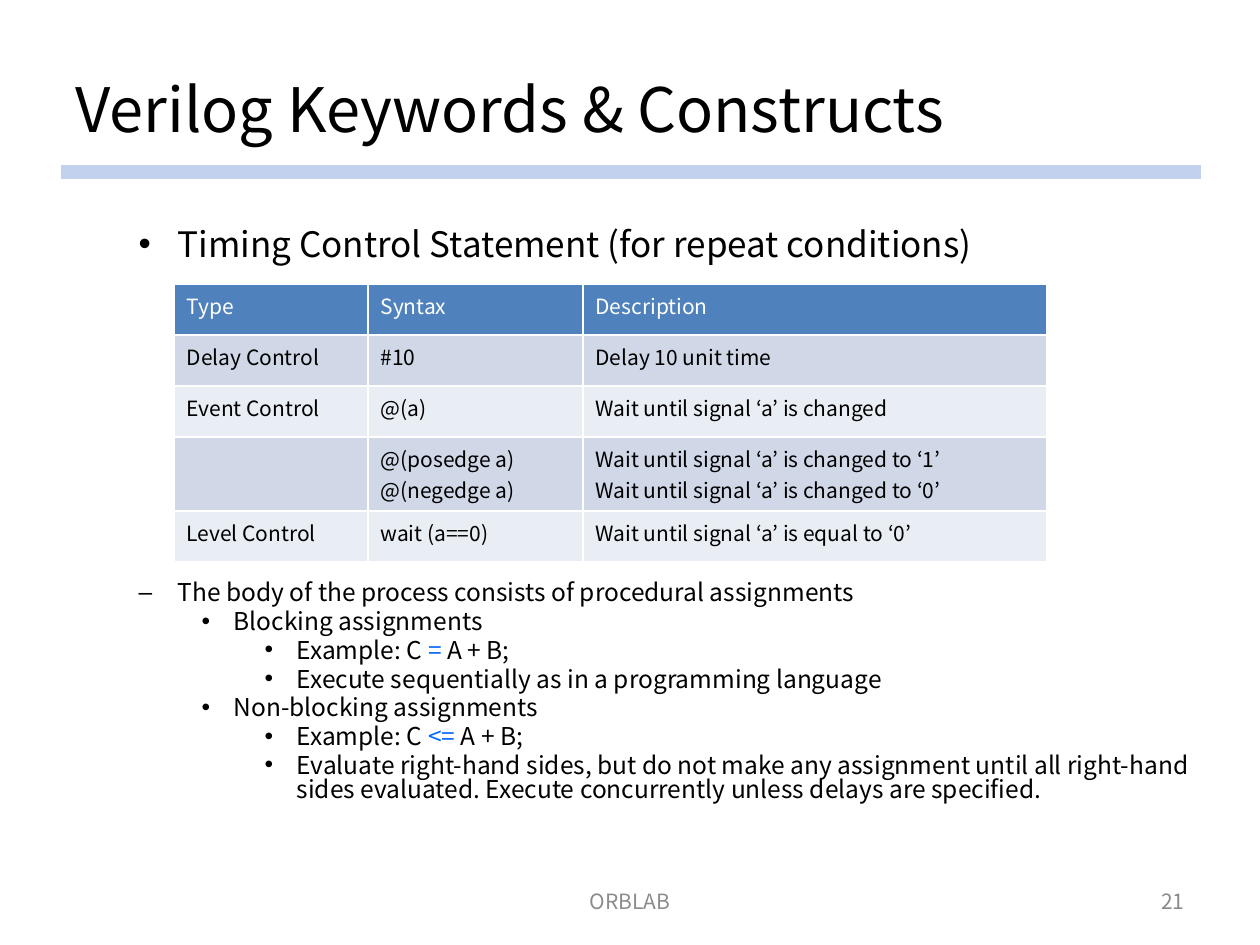
import lxml.etree
import pptx
import pptx.dml.color
import pptx.enum.shapes
import pptx.enum.text
import pptx.oxml.ns
import pptx.util

ALIGN = pptx.enum.text.PP_ALIGN
ANCHOR = pptx.enum.text.MSO_ANCHOR
BLACK, WHITE, ACCENT = "000000", "FFFFFF", "0066FF"

HEADING = [(0, "•", 20, 0, [("Timing Control Statement (for repeat conditions)", BLACK)])]
DETAILS = [
    (0, "–", 14, 182, [("The body of the process consists of procedural assignments", BLACK)]),
    (1, "•", 14, 2.8, [("Blocking assignments", BLACK)]),
    (2, "•", 14, 2.8, [("Example: C", BLACK), (" = ", ACCENT), ("A + B;", BLACK)]),
    (2, "•", 14, 2.8, [("Execute sequentially as in a programming language", BLACK)]),
    (1, "•", 14, 2.8, [("Non-blocking assignments", BLACK)]),
    (2, "•", 14, 2.8, [("Example: C ", BLACK), ("<=", ACCENT), (" A + B;", BLACK)]),
    (2, "•", 14, 2.8, [("Evaluate right-hand sides, but do not make any assignment until all "
                        "right-hand sides evaluated. Execute concurrently unless delays are "
                        "specified.", BLACK)]),
]
TIMING_ROWS = [
    ("Type", "Syntax", "Description"),
    ("Delay Control", "#10", "Delay 10 unit time"),
    ("Event Control", "@(a)", "Wait until signal ‘a’ is changed"),
    ("", "@(posedge a)\n@(negedge a)",
     "Wait until signal ‘a’ is changed to ‘1’\nWait until signal ‘a’ is changed to ‘0’"),
    ("Level Control", "wait (a==0)", "Wait until signal ‘a’ is equal to ‘0’"),
]


def px(length):
    """Turn pixels into EMU."""
    return pptx.util.Emu(round(length * 914400 / 126))


def color(value):
    """Turn a hex string into a colour."""
    return pptx.dml.color.RGBColor.from_string(value)


def add_element(parent, tag, **attributes):
    """Append an XML element with the given attributes."""
    return lxml.etree.SubElement(parent, pptx.oxml.ns.qn(tag), attributes)


class Painter:
    """Hold the style and the current slide."""

    font = "Noto Sans CJK KR"
    indents = [(102, -39), (158, -32), (221, -32)]
    bands = ["D0D8E8", "E9EDF4"]
    header = "4F81BD"

    def __init__(self, page):
        """Keep the slide to draw on."""
        self.page = page

    def place(self, shape, left, top, width, height):
        """Move and size a shape."""
        shape.left, shape.top, shape.width, shape.height = map(px, (left, top, width, height))

    def style(self, span, size, ink):
        """Format one run."""
        span.font.name = self.font
        span.font.size = pptx.util.Pt(size)
        span.font.color.rgb = color(ink)

    def style_frame(self, frame, size, ink, align=ALIGN.LEFT):
        """Format all the text in a frame."""
        for para in frame.paragraphs:
            para.alignment = align
            for span in para.runs:
                self.style(span, size, ink)

    def rule(self, left, right, y, ink, weight):
        """Draw a horizontal line."""
        line = self.page.shapes.add_connector(
            pptx.enum.shapes.MSO_CONNECTOR.STRAIGHT, px(left), px(y), px(right), px(y))
        line.line.color.rgb = color(ink)
        line.line.width = pptx.util.Pt(weight)
        add_element(line._element.spPr, "a:effectLst")

    def title(self, text, *bounds):
        """Fill the title placeholder."""
        box = self.page.shapes.title
        self.place(box, *bounds)
        frame = box.text_frame
        frame.text = text
        frame.auto_size = pptx.enum.text.MSO_AUTO_SIZE.NONE
        frame.vertical_anchor = ANCHOR.MIDDLE
        self.style_frame(frame, 35, BLACK)

    def body(self, items, *bounds):
        """Fill the body placeholder with a bulleted list."""
        box = self.page.placeholders[1]
        self.place(box, *bounds)
        frame = box.text_frame
        frame.auto_size = pptx.enum.text.MSO_AUTO_SIZE.NONE
        for index, (level, bullet, size, gap, spans) in enumerate(items):
            para = frame.add_paragraph() if index else frame.paragraphs[0]
            para.level = level
            para.line_spacing = 0.81
            para.space_before = pptx.util.Pt(gap)
            margin, indent = self.indents[level]
            properties = para._p.get_or_add_pPr()
            properties.set("marL", str(px(margin)))
            properties.set("indent", str(px(indent)))
            add_element(properties, "a:buChar", char=bullet)
            for text, ink in spans:
                span = para.add_run()
                span.text = text
                self.style(span, size, ink)

    def label(self, text, ink, align, *bounds):
        """Add a small text box."""
        box = self.page.shapes.add_textbox(*map(px, bounds))
        frame = box.text_frame
        frame.word_wrap = True
        frame.vertical_anchor = ANCHOR.MIDDLE
        frame.text = text
        self.style_frame(frame, 12, ink, align)

    def border(self, cell):
        """Give a cell thin white borders."""
        properties = cell._tc.get_or_add_tcPr()
        for side in ("a:lnL", "a:lnR", "a:lnT", "a:lnB"):
            line = add_element(properties, side, w=str(pptx.util.Pt(1)))
            add_element(add_element(line, "a:solidFill"), "a:srgbClr", val=WHITE)

    def table(self, rows, left, top, widths, heights):
        """Add a banded table with a header row."""
        table = self.page.shapes.add_table(
            len(rows), len(widths), px(left), px(top), px(sum(widths)), px(sum(heights))).table
        for column, width in zip(table.columns, widths):
            column.width = px(width)
        for index, (row, height, texts) in enumerate(zip(table.rows, heights, rows)):
            row.height = px(height)
            for cell, text in zip(row.cells, texts):
                self.border(cell)
                cell.fill.solid()
                cell.fill.fore_color.rgb = color(
                    self.bands[(index - 1) % 2] if index else self.header)
                cell.text_frame.text = text
                self.style_frame(cell.text_frame, 12, BLACK if index else WHITE)


def main():
    """Build the deck."""
    deck = pptx.Presentation()
    deck.slide_width, deck.slide_height = px(1260), px(945)
    painter = Painter(deck.slides.add_slide(deck.slide_layouts[1]))
    painter.rule(61, 1201, 172, "C2D1ED", 8)
    painter.body(HEADING + DETAILS, 63, 224, 1150, 601)
    painter.title("Verilog Keywords & Constructs", 63, 38, 1134, 140)
    painter.label("ORBLAB", "8C8C8C", ALIGN.CENTER, 430, 876, 400, 50)
    painter.label("21", "898989", ALIGN.RIGHT, 903, 876, 294, 50)
    painter.table(TIMING_ROWS, 174, 284, [194, 215, 464], [51, 51, 51, 74, 51])
    deck.save("out.pptx")


if __name__ == "__main__":
    main()
